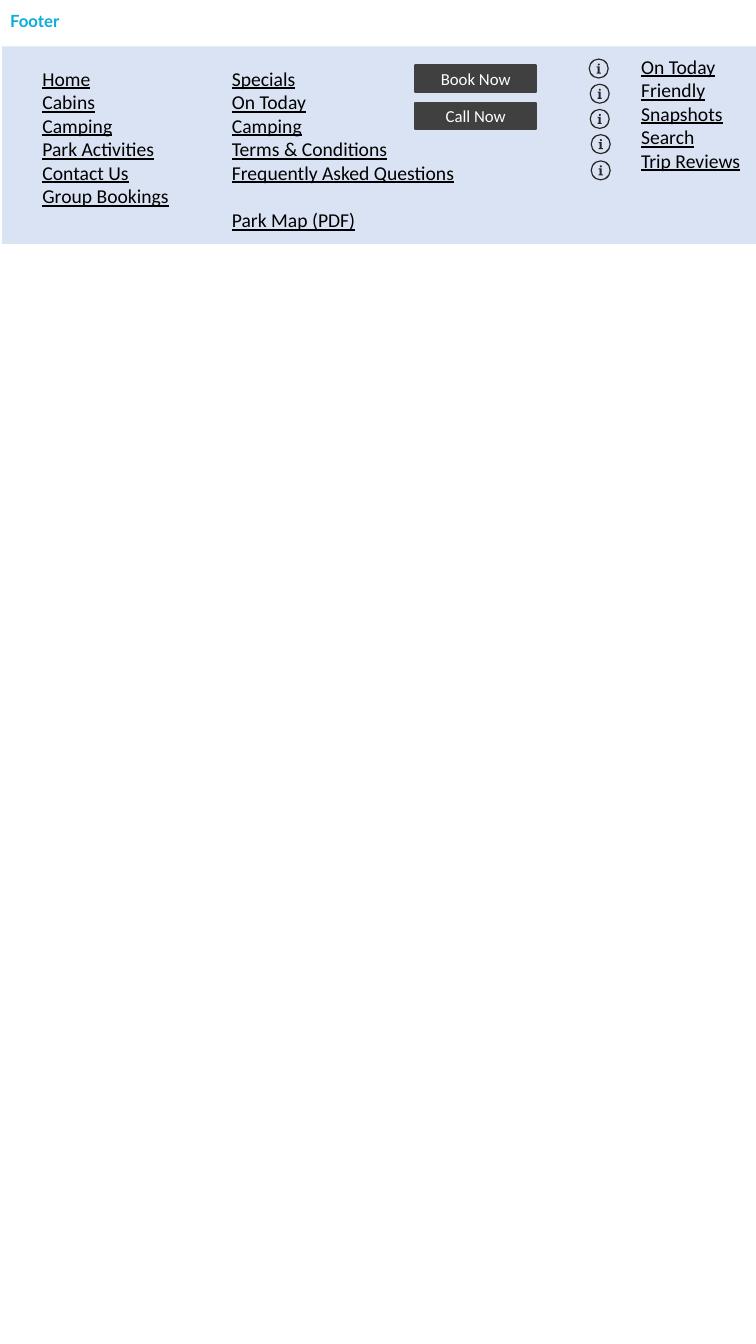
from typing import Any, NamedTuple

from lxml import etree
from pptx import Presentation
from pptx.dml.color import RGBColor
from pptx.enum.shapes import MSO_SHAPE
from pptx.enum.text import MSO_ANCHOR, MSO_AUTO_SIZE, PP_ALIGN
from pptx.oxml.ns import qn
from pptx.util import Pt

PX = 9144  # EMU per px, 100 px to the inch
RECTANGLE, OVAL, DONUT = MSO_SHAPE.RECTANGLE, MSO_SHAPE.OVAL, MSO_SHAPE.DONUT
TOP, MIDDLE = MSO_ANCHOR.TOP, MSO_ANCHOR.MIDDLE
LEFT, CENTER = PP_ALIGN.LEFT, PP_ALIGN.CENTER
NO_AUTOFIT = MSO_AUTO_SIZE.NONE
COMPARISON_LAYOUT = 4

CYAN, PALE_BLUE, BLACK, WHITE = "0CADDB", "DAE3F3", "000000", "FFFFFF"
BUTTON_GREY, ICON_GREY = "404040", "262626"

HEADING_FONT = {"name": "Lato", "size": Pt(12), "bold": True}
LINK_FONT = {"name": "Calibri", "size": Pt(14), "bold": False, "underline": True}
BUTTON_FONT = {"name": "Calibri", "size": Pt(12)}
LINK_LINE = Pt(17)

ICON_SIZE = 20
ICON_COUNT = 5
STEM = [(8, 8), (11, 8), (11, 14), (12, 14), (12, 15),
        (8, 15), (8, 14), (9, 14), (9, 9), (8, 9)]


class Box(NamedTuple):
    left: int
    top: int
    width: int
    height: int


class LinkColumn(NamedTuple):
    box: Box
    links: list[str]
    separate_link: str = ""


class Button(NamedTuple):
    box: Box
    label: str


COLUMNS = [
    LinkColumn(Box(32, 61, 165, 151),
               ["Home", "Cabins", "Camping", "Park Activities", "Contact Us",
                "Group Bookings"]),
    LinkColumn(Box(220, 61, 256, 199),
               ["Specials", "On Today", "Camping", "Terms & Conditions",
                "Frequently Asked Questions"], "Park Map (PDF)"),
    LinkColumn(Box(626, 49, 165, 175),
               ["On Today", "Friendly", "Snapshots", "Search", "Trip Reviews"]),
]
BUTTONS = [Button(Box(412, 65 + 37 * row, 120, 26), label)
           for row, label in enumerate(["Book Now", "Call Now"])]


def rgb(color: str) -> RGBColor:
    return RGBColor.from_string(color)


def apply(target: Any, values: dict[str, Any]) -> None:
    for name, value in values.items():
        setattr(target, name, value)


def place(shape: Any, box: Box) -> None:
    apply(shape, {side: length * PX for side, length in box._asdict().items()})


def format_frame(frame: Any, anchor: Any, inset_x: int, inset_y: int) -> None:
    apply(frame, {"word_wrap": True, "auto_size": NO_AUTOFIT, "vertical_anchor": anchor,
                  "margin_left": inset_x * PX, "margin_right": inset_x * PX,
                  "margin_top": inset_y * PX, "margin_bottom": inset_y * PX})


def write(paragraph: Any, text: str, font: dict[str, Any], color: str, align: Any) -> None:
    paragraph.alignment = align
    run = paragraph.add_run()
    run.text = text
    apply(run.font, font)
    run.font.color.rgb = rgb(color)


def paint(shape: Any, color: str) -> None:
    """Fill a shape flatly, without outline or shadow."""
    shape.shadow.inherit = False
    shape.fill.solid()
    shape.fill.fore_color.rgb = rgb(color)
    shape.line.fill.background()


def add_preset(shapes: Any, preset: Any, box: Box, color: str) -> Any:
    shape = shapes.add_shape(preset, *(length * PX for length in box))
    paint(shape, color)
    return shape


def fill_column(placeholder: Any, column: LinkColumn) -> None:
    place(placeholder, column.box)
    frame = placeholder.text_frame
    format_frame(frame, TOP, 10, 5)
    links = column.links + ([column.separate_link] if column.separate_link else [])
    for row, link in enumerate(links):
        paragraph = frame.add_paragraph() if row else frame.paragraphs[0]
        write(paragraph, link, LINK_FONT, BLACK, LEFT)
        paragraph.space_before = LINK_LINE if link == column.separate_link else Pt(0)
        properties = paragraph._p.get_or_add_pPr()
        properties.set("marL", "0")
        properties.set("indent", "0")
        etree.SubElement(properties, qn("a:buNone"))


def add_button(shapes: Any, button: Button) -> None:
    shape = add_preset(shapes, RECTANGLE, button.box, BUTTON_GREY)
    shape.line.color.rgb = rgb(BUTTON_GREY)
    shape.line.width = Pt(1.5)
    format_frame(shape.text_frame, MIDDLE, 5, 5)
    write(shape.text_frame.paragraphs[0], button.label, BUTTON_FONT, WHITE, CENTER)


def add_info_icon(shapes: Any, left: int, top: int) -> None:
    icon = shapes.add_group_shape().shapes
    ring = add_preset(icon, DONUT, Box(left, top, ICON_SIZE, ICON_SIZE), ICON_GREY)
    ring.adjustments[0] = 0.06
    add_preset(icon, OVAL, Box(left + 9, top + 5, 2, 2), ICON_GREY)
    start, *corners = [(left + x, top + y) for x, y in STEM]
    outline = icon.build_freeform(*start, scale=PX)
    outline.add_line_segments(corners, close=True)
    paint(outline.convert_to_shape(), ICON_GREY)


def main() -> None:
    deck = Presentation()
    apply(deck, {"slide_width": 750 * PX, "slide_height": 1333 * PX})
    slide = deck.slides.add_slide(deck.slide_layouts[COMPARISON_LAYOUT])
    shapes = slide.shapes
    heading, *bodies = slide.placeholders

    place(heading, Box(2, 7, 276, 27))
    format_frame(heading.text_frame, TOP, 8, 4)
    write(heading.text_frame.paragraphs[0], "Footer", HEADING_FONT, CYAN, LEFT)

    panel = add_preset(shapes, RECTANGLE, Box(2, 46, 750, 196), PALE_BLUE)
    heading._element.addnext(panel._element)

    for body, column in zip(bodies, COLUMNS):
        fill_column(body, column)
    for unused in bodies[len(COLUMNS):]:
        unused._element.getparent().remove(unused._element)

    for row in range(ICON_COUNT):
        add_info_icon(shapes, 584 + (row + 1) // 2, 58 + 101 * row // 4)
    for button in BUTTONS:
        add_button(shapes, button)

    deck.save("out.pptx")


if __name__ == "__main__":
    main()
